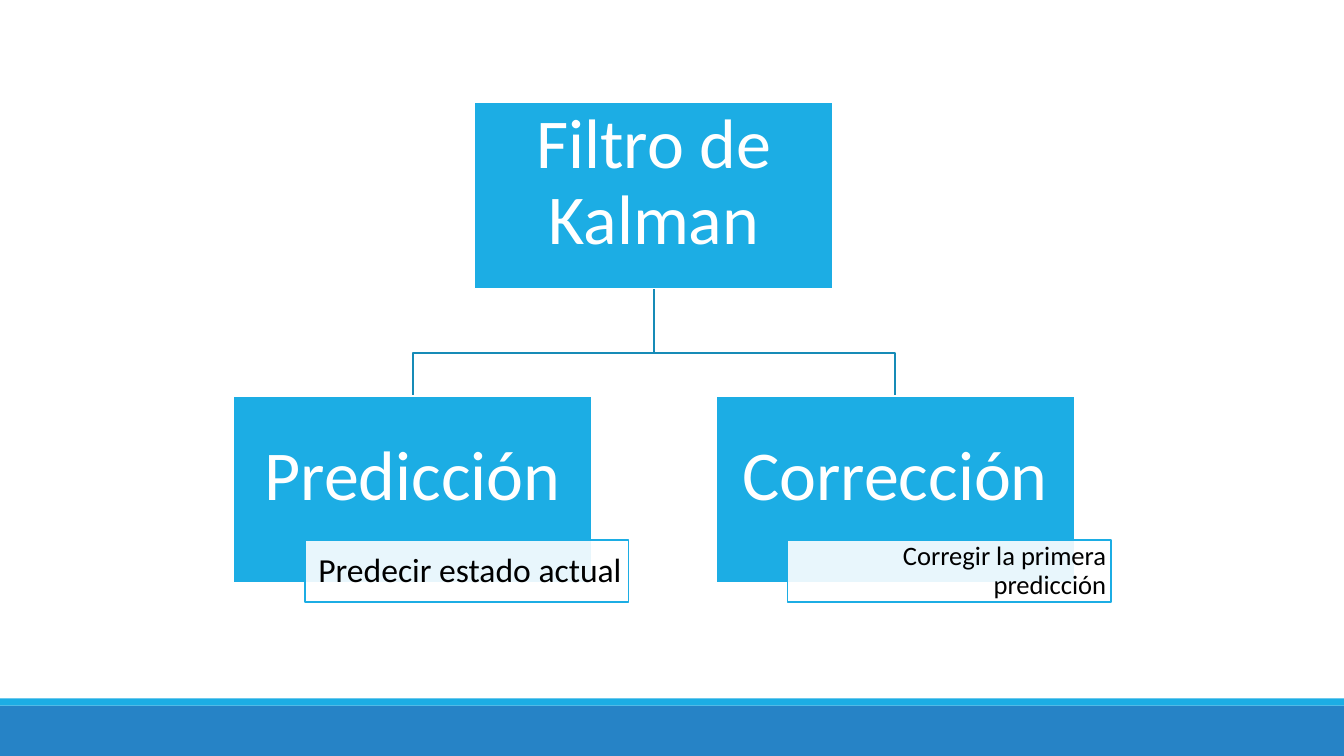
import pptx
import pptx.util
import pptx.dml.color
import pptx.enum.shapes
import pptx.enum.text
import pptx.oxml.ns
import lxml.etree

Cm = pptx.util.Cm
Pt = pptx.util.Pt
RGBColor = pptx.dml.color.RGBColor
ALIGN = pptx.enum.text.PP_ALIGN

WHITE = RGBColor(0xFF, 0xFF, 0xFF)
BLACK = RGBColor(0x00, 0x00, 0x00)
SKY = RGBColor(0x1C, 0xAD, 0xE4)
BLUE = RGBColor(0x26, 0x83, 0xC6)
BRANCH = RGBColor(0x16, 0x8B, 0xB7)

SLIDE_WIDTH, SLIDE_HEIGHT = 33.87, 19.05
BOX_WIDTH, BOX_HEIGHT = 9.04, 4.7
LABEL_WIDTH, LABEL_HEIGHT = 8.15, 1.57
ROOT_CENTER, ROOT_TOP = 16.48, 2.57
CHILD_OFFSET, CHILD_TOP = 6.08, 9.98
BRANCH_TURN = 8.89

deck = pptx.Presentation()
deck.slide_width, deck.slide_height = Cm(SLIDE_WIDTH), Cm(SLIDE_HEIGHT)
slide = deck.slides.add_slide(deck.slide_layouts[6])


def add_box(left, top, width, height, fill, line=None):
    box = slide.shapes.add_shape(
        pptx.enum.shapes.MSO_SHAPE.RECTANGLE,
        Cm(left), Cm(top), Cm(width), Cm(height))
    box.shadow.inherit = False
    box.fill.solid()
    box.fill.fore_color.rgb = fill
    if line is None:
        box.line.fill.background()
    else:
        box.line.color.rgb = line
        box.line.width = Pt(1.25)
    return box


def write_text(box, text, size, color, align, insets):
    frame = box.text_frame
    frame.word_wrap = True
    frame.vertical_anchor = pptx.enum.text.MSO_ANCHOR.MIDDLE
    (frame.margin_left, frame.margin_top,
     frame.margin_right, frame.margin_bottom) = [Cm(inset) for inset in insets]
    para = frame.paragraphs[0]
    para.text = text
    para.alignment = align
    para.line_spacing = 0.9
    para.font.name = "Calibri"
    para.font.size = Pt(size)
    para.font.color.rgb = color


# Bands along the bottom edge
add_box(0, 17.78, SLIDE_WIDTH, 1.27, BLUE)
add_box(0, 17.6, SLIDE_WIDTH, 0.18, SKY)

# Branches from the root to both children
for offset in (CHILD_OFFSET, -CHILD_OFFSET):
    child_center = ROOT_CENTER + offset
    builder = slide.shapes.build_freeform(
        Cm(ROOT_CENTER), Cm(ROOT_TOP + BOX_HEIGHT))
    builder.add_line_segments(
        [(Cm(ROOT_CENTER), Cm(BRANCH_TURN)),
         (Cm(child_center), Cm(BRANCH_TURN)),
         (Cm(child_center), Cm(CHILD_TOP))], close=False)
    branch = builder.convert_to_shape()
    branch.shadow.inherit = False
    branch.fill.background()
    branch.line.color.rgb = BRANCH
    branch.line.width = Pt(1.25)

# Main boxes
for text, center, top in (
        ("Filtro de Kalman", ROOT_CENTER, ROOT_TOP),
        ("Predicción", ROOT_CENTER - CHILD_OFFSET, CHILD_TOP),
        ("Corrección", ROOT_CENTER + CHILD_OFFSET, CHILD_TOP)):
    box = add_box(center - BOX_WIDTH / 2, top, BOX_WIDTH, BOX_HEIGHT, SKY, WHITE)
    write_text(box, text, 50, WHITE, ALIGN.CENTER, (0.08, 0.08, 0.08, 0.66))

# Translucent labels over the lower right corner of each child
for text, offset, size, side, edge in (
        ("Predecir estado actual", -CHILD_OFFSET, 24, 0.17, 0.04),
        ("Corregir la primera predicción", CHILD_OFFSET, 19, 0.12, 0.03)):
    left = ROOT_CENTER + offset - BOX_WIDTH / 2 + 0.2 * BOX_WIDTH
    label = add_box(left, 13.61, LABEL_WIDTH, LABEL_HEIGHT, WHITE, SKY)
    fill_color = label.fill._xPr.find(
        pptx.oxml.ns.qn("a:solidFill")).find(pptx.oxml.ns.qn("a:srgbClr"))
    lxml.etree.SubElement(
        fill_color, pptx.oxml.ns.qn("a:alpha")).set("val", "90000")
    write_text(label, text, size, BLACK, ALIGN.RIGHT, (side, edge, side, edge))

deck.save("out.pptx")
